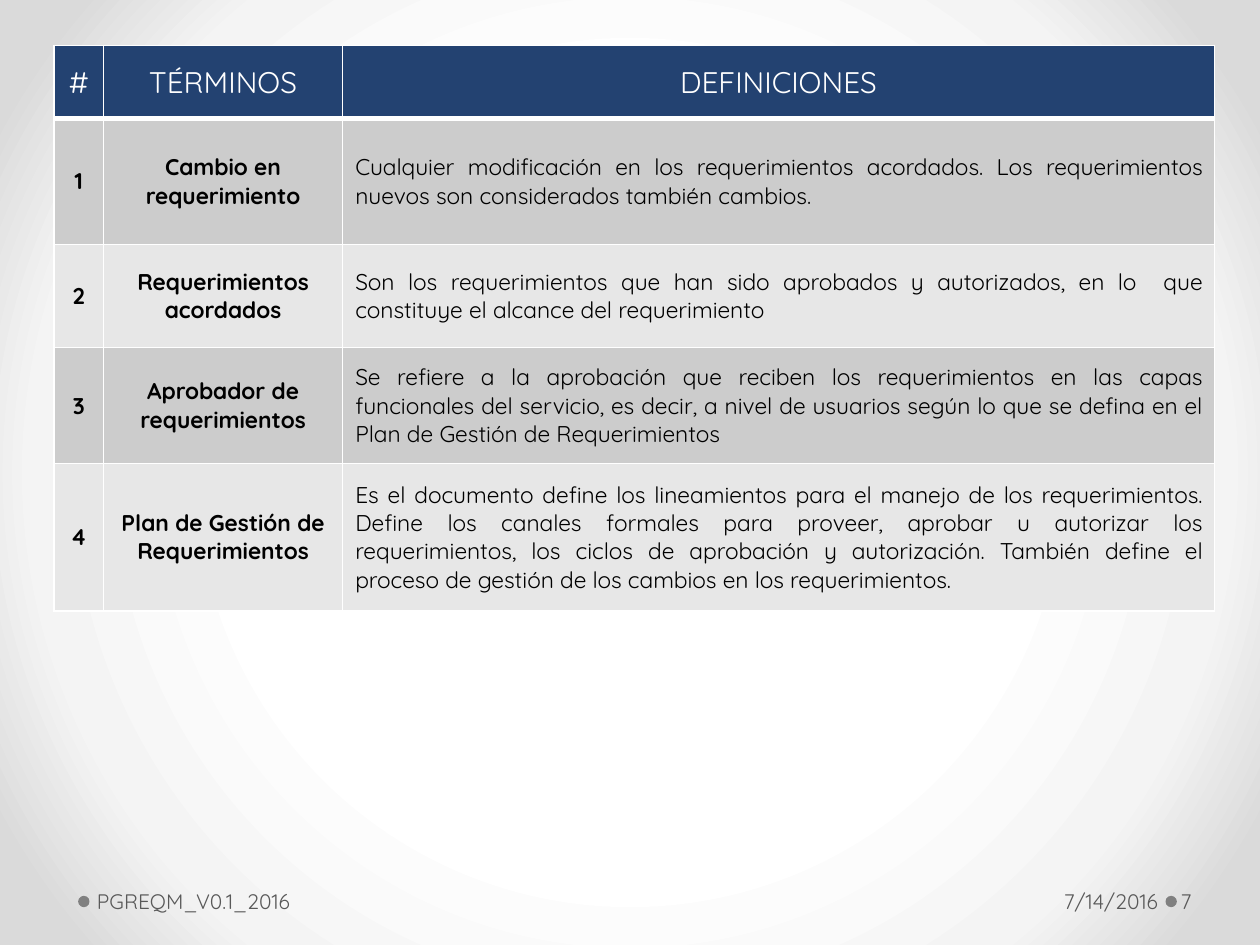
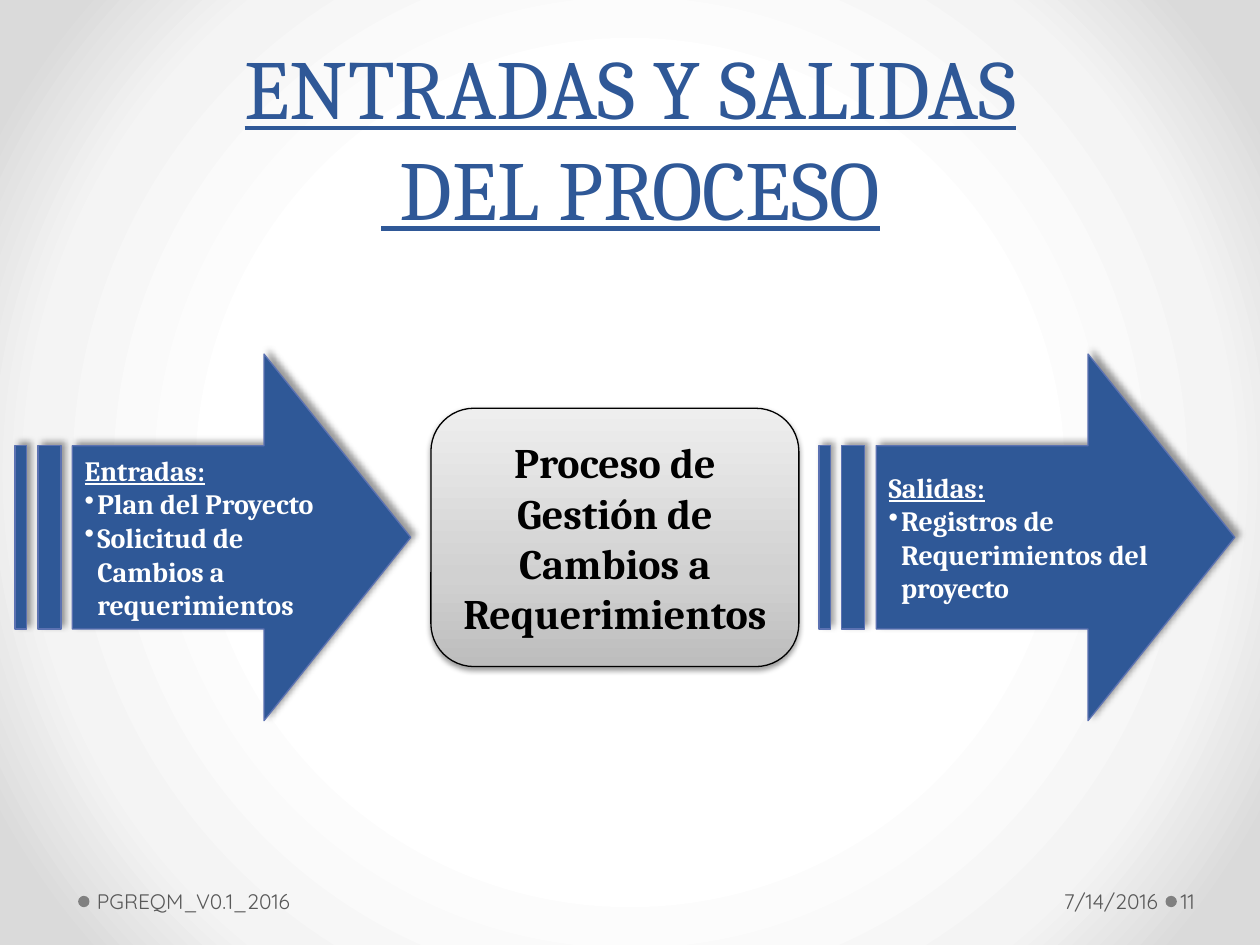
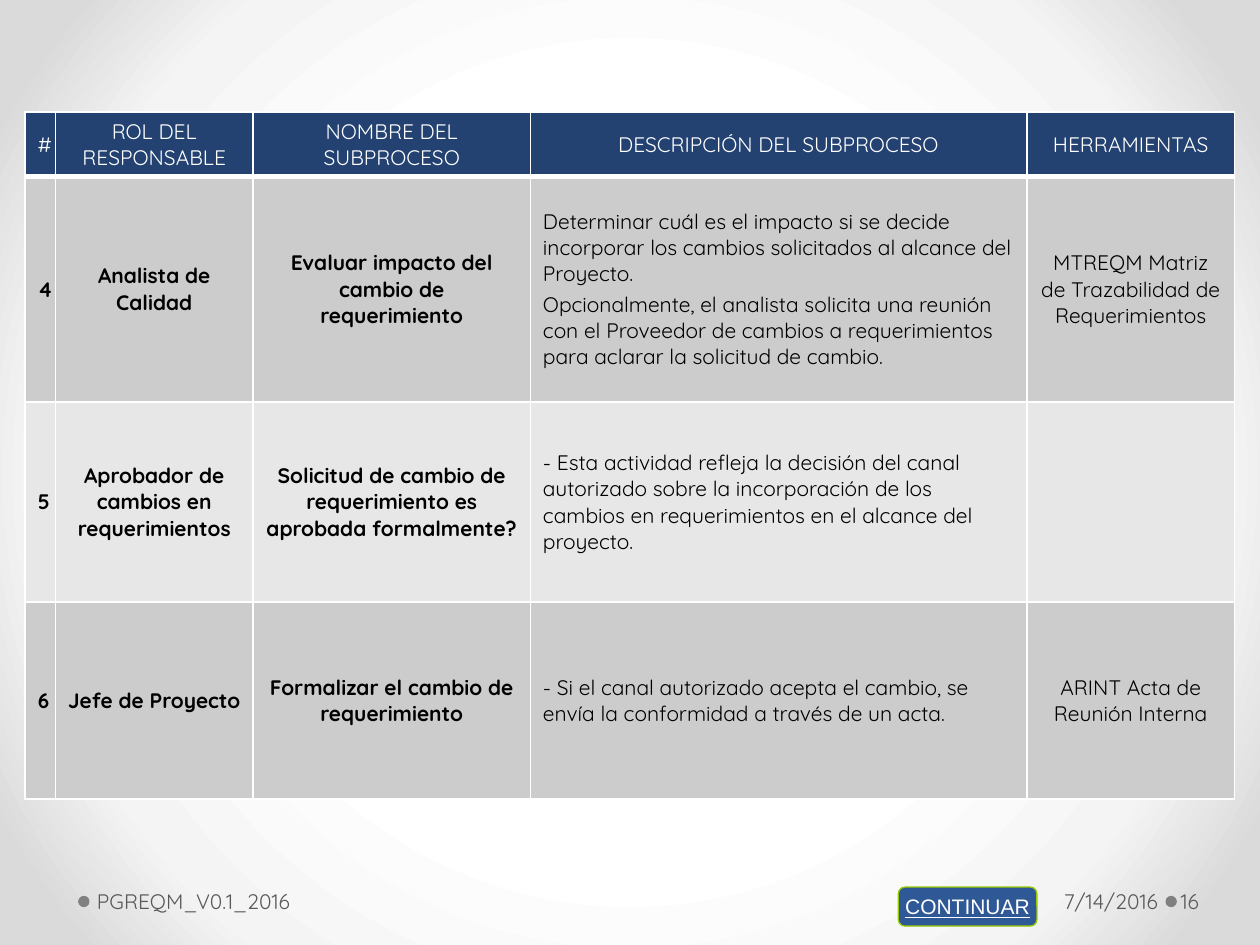
from dataclasses import dataclass

from lxml import etree
from pptx import Presentation
from pptx.dml.color import RGBColor
from pptx.enum.shapes import MSO_SHAPE
from pptx.enum.text import MSO_ANCHOR, MSO_AUTO_SIZE, PP_ALIGN
from pptx.oxml.ns import qn
from pptx.util import Inches, Pt

LEFT, CENTER, RIGHT, JUSTIFY = PP_ALIGN.LEFT, PP_ALIGN.CENTER, PP_ALIGN.RIGHT, PP_ALIGN.JUSTIFY
MIDDLE, BOTTOM = MSO_ANCHOR.MIDDLE, MSO_ANCHOR.BOTTOM
NO_FIT = MSO_AUTO_SIZE.NONE
OVAL, ARROW = MSO_SHAPE.OVAL, MSO_SHAPE.STRIPED_RIGHT_ARROW
ROUNDED, BUTTON = MSO_SHAPE.ROUNDED_RECTANGLE, MSO_SHAPE.FLOWCHART_ALTERNATE_PROCESS
TITLE_ONLY, BLANK = 5, 6


@dataclass(frozen=True)
class Theme:
    body_font: str = "Quicksand"
    heading_font: str = "Cambria"
    button_font: str = "Arial"
    black: str = "000000"
    white: str = "FFFFFF"
    blue: str = "2F5897"
    blue_line: str = "5C72B2"
    navy: str = "234271"
    green: str = "99CC00"
    dot: str = "808080"
    footer: str = "595959"
    bands: tuple = ("CCCCCC", "E7E7E7")
    backdrop: tuple = ((50, "FFFFFF"), (76, "F4F4F4"), (92, "DADADA"))
    steel: tuple = ((0, "BDBDBD"), (35, "D1D1D1"), (100, "EEEEEE"))
    title_size: int = 48
    process_size: int = 24
    arrow_size: int = 16
    small_size: int = 12


THEME = Theme()


def rgb(color):
    return RGBColor.from_string(color)


def child(parent, tag, **attrs):
    return etree.SubElement(parent, qn(tag), {k: str(v) for k, v in attrs.items()})


def set_gradient(grad, stops, angle=None):
    grad.clear()
    stop_list = child(grad, "a:gsLst")
    for position, color in stops:
        stop = child(stop_list, "a:gs", pos=position * 1000)
        child(stop, "a:srgbClr", val=color)
    if angle is None:
        circle = child(grad, "a:path", path="circle")
        child(circle, "a:fillToRect", l=50000, t=50000, r=50000, b=50000)
    else:
        child(grad, "a:lin", ang=angle * 60000, scaled=0)


def write_text(tf, text, font=THEME.body_font, size=THEME.small_size, color=THEME.black,
               bold=False, underline=False, align=LEFT, before=0, bullet=None):
    for line in text.split("\n"):
        p = tf.add_paragraph() if tf.text else tf.paragraphs[0]
        p.text = line
        p.alignment = align
        p.space_before = Pt(before)
        for r in p.runs:
            r.font.name = font
            r.font.size = Pt(size)
            r.font.color.rgb = rgb(color)
            r.font.bold = bold
            r.font.underline = underline
        if bullet:
            pPr = p._p.get_or_add_pPr()
            pPr.set("marL", str(Inches(0.1)))
            pPr.set("indent", str(-Inches(0.1)))
            child(pPr, "a:buChar", char=bullet)


class Deck:
    def __init__(self, theme):
        self.theme = theme
        self.prs = Presentation()
        self.prs.slide_width, self.prs.slide_height = Inches(10), Inches(7.5)
        self.slide = None
        master = self.prs.slide_master
        master.background.fill.gradient()
        set_gradient(master.element.xpath(".//p:bg//a:gradFill")[0], theme.backdrop)

    def new_slide(self, number, title=None):
        layout = self.prs.slide_layouts[TITLE_ONLY if title else BLANK]
        self.slide = self.prs.slides.add_slide(layout)
        if title:
            self.title(title)
        for x in (0.62, 9.25):
            self.shape(OVAL, x, 7.11, 0.09, 0.09, self.theme.dot)
        self.footer_text("PGREQM_V0.1_2016", 0.72, 3.96, 0.05, 0.1)
        self.footer_text("7/14/2016", 6.96, 2.28, 0.1, 0.05, RIGHT)
        self.footer_text(str(number), 9.34, 0.61, 0.03, 0.05)

    def title(self, text):
        sp = self.slide.shapes.title
        sp.left, sp.top, sp.width, sp.height = map(Inches, (0.28, 0.19, 9.45, 1.74))
        tf = sp.text_frame
        tf.auto_size = NO_FIT
        tf.vertical_anchor = BOTTOM
        write_text(tf, text, font=self.theme.heading_font, size=self.theme.title_size,
                   color=self.theme.blue, underline=True, align=CENTER)

    def footer_text(self, text, x, width, left, right, align=LEFT):
        box = self.slide.shapes.add_textbox(Inches(x), Inches(6.95), Inches(width), Inches(0.4))
        tf = box.text_frame
        tf.word_wrap = True
        tf.vertical_anchor = MIDDLE
        tf.margin_left, tf.margin_right = Inches(left), Inches(right)
        write_text(tf, text, color=self.theme.footer, align=align)

    def shape(self, kind, x, y, width, height, fill, line=None, shadow=None):
        sp = self.slide.shapes.add_shape(kind, Inches(x), Inches(y), Inches(width), Inches(height))
        if isinstance(fill, str):
            sp.fill.solid()
            sp.fill.fore_color.rgb = rgb(fill)
        else:
            sp.fill.gradient()
            set_gradient(sp.element.spPr.find(qn("a:gradFill")), fill, 270)
        if line:
            sp.line.color.rgb = rgb(line)
            sp.line.width = Pt(0.75)
        else:
            sp.line.fill.background()
        sp.shadow.inherit = False
        if shadow:
            self.shadow(sp, *shadow)
        sp.text_frame.vertical_anchor = MIDDLE
        return sp

    def shadow(self, sp, opacity, blur, distance, angle):
        effects = sp.element.spPr.find(qn("a:effectLst"))
        outer = child(effects, "a:outerShdw", blurRad=Pt(blur), dist=Pt(distance),
                      dir=angle * 60000, rotWithShape=0)
        color = child(outer, "a:srgbClr", val=self.theme.black)
        child(color, "a:alpha", val=opacity * 1000)

    def arrow(self, x, width, heading, items):
        sp = self.shape(ARROW, x, 2.81, width, 2.91, self.theme.blue, self.theme.blue_line,
                        (40, 4, 3, 315))
        sp.adjustments[0], sp.adjustments[1] = 0.5, 0.4
        style = dict(font=self.theme.heading_font, size=self.theme.arrow_size,
                     color=self.theme.white, bold=True)
        write_text(sp.text_frame, heading, underline=True, **style)
        write_text(sp.text_frame, items, bullet="•", **style)

    def process(self, text):
        sp = self.shape(ROUNDED, 3.42, 3.24, 2.92, 2.05, self.theme.steel, self.theme.black,
                        (38, 3.1, 1.6, 90))
        write_text(sp.text_frame, text, font=self.theme.heading_font,
                   size=self.theme.process_size, bold=True, align=CENTER)

    def button(self, text):
        sp = self.shape(BUTTON, 7.13, 7.04, 1.1, 0.31, self.theme.blue, self.theme.green)
        sp.text_frame.word_wrap = False
        write_text(sp.text_frame, text, font=self.theme.button_font, color=self.theme.white,
                   underline=True, align=CENTER)

    def cell_style(self, cell, fill, bottom=1):
        tcPr = cell._tc.get_or_add_tcPr()
        for side, width in (("L", 1), ("R", 1), ("T", 1), ("B", bottom)):
            ln = child(tcPr, f"a:ln{side}", w=Pt(width))
            child(child(ln, "a:solidFill"), "a:srgbClr", val=self.theme.white)
        cell.fill.solid()
        cell.fill.fore_color.rgb = rgb(fill)
        cell.vertical_anchor = MIDDLE

    def table(self, x, y, widths, heights, rows, aligns, bold_columns, head_size, size):
        frame = self.slide.shapes.add_table(len(rows), len(widths), Inches(x), Inches(y),
                                            Inches(sum(widths)), Inches(sum(heights)))
        table = frame.table
        table.first_row = table.horz_banding = False
        for column, width in zip(table.columns, widths):
            column.width = Inches(width)
        for i, (height, values) in enumerate(zip(heights, rows)):
            table.rows[i].height = Inches(height)
            for j, value in enumerate(values):
                cell = table.cell(i, j)
                if i == 0:
                    self.cell_style(cell, self.theme.navy, bottom=3)
                    write_text(cell.text_frame, value, size=head_size,
                               color=self.theme.white, align=CENTER)
                else:
                    self.cell_style(cell, self.theme.bands[(i - 1) % 2])
                    write_text(cell.text_frame, value, size=size, align=aligns[j],
                               bold=j < bold_columns, before=round(size * 0.2, 1) if j else 0)


TERMS = [
    ("#", "TÉRMINOS", "DEFINICIONES"),
    ("1", "Cambio en requerimiento",
     "Cualquier modificación en los requerimientos acordados. Los requerimientos nuevos son "
     "considerados también cambios. "),
    ("2", "Requerimientos acordados",
     "Son los requerimientos que han sido aprobados y autorizados, en lo  que constituye el "
     "alcance del requerimiento"),
    ("3", "Aprobador de requerimientos",
     "Se refiere a la aprobación que reciben los requerimientos en las capas funcionales del "
     "servicio, es decir, a nivel de usuarios según lo que se defina en el Plan de Gestión de "
     "Requerimientos"),
    ("4", "Plan de Gestión de Requerimientos",
     "Es el documento define los lineamientos para el manejo de los requerimientos. Define los "
     "canales formales para proveer, aprobar u autorizar los requerimientos, los ciclos de "
     "aprobación y autorización. También define el proceso de gestión de los cambios en los "
     "requerimientos."),
]

SUBPROCESSES = [
    ("#", "ROL DEL RESPONSABLE", "NOMBRE DEL SUBPROCESO", "DESCRIPCIÓN DEL SUBPROCESO",
     "HERRAMIENTAS"),
    ("4", "Analista de Calidad", "Evaluar impacto del cambio de requerimiento",
     "Determinar cuál es el impacto si se decide incorporar los cambios solicitados al alcance "
     "del Proyecto.\nOpcionalmente, el analista solicita una reunión con el Proveedor de cambios "
     "a requerimientos para aclarar la solicitud de cambio.",
     "MTREQM Matriz de Trazabilidad de Requerimientos"),
    ("5", "Aprobador de cambios en requerimientos",
     "Solicitud de cambio de requerimiento es aprobada formalmente?",
     "- Esta actividad refleja la decisión del canal autorizado sobre la incorporación de los "
     "cambios en requerimientos en el alcance del proyecto.", ""),
    ("6", "Jefe de Proyecto", "Formalizar el cambio de requerimiento",
     "- Si el canal autorizado acepta el cambio, se envía la conformidad a través de un acta.",
     "ARINT Acta de Reunión Interna"),
]


def main():
    deck = Deck(THEME)

    deck.new_slide(7)
    deck.table(0.43, 0.36, (0.39, 1.9, 6.92), (0.58, 1, 0.82, 0.92, 1.17), TERMS,
               (CENTER, CENTER, JUSTIFY), bold_columns=2, head_size=17, size=13)

    deck.new_slide(11, "ENTRADAS Y SALIDAS\v DEL PROCESO")
    deck.arrow(0.12, 3.14, "Entradas:",
               "Plan del Proyecto\nSolicitud de Cambios a requerimientos")
    deck.arrow(6.5, 3.3, "Salidas:", "Registros de Requerimientos del proyecto")
    deck.process("Proceso de Gestión de Cambios a Requerimientos")

    deck.new_slide(16)
    deck.table(0.2, 0.89, (0.24, 1.57, 2.2, 3.94, 1.65), (0.51, 1.79, 1.59, 1.56), SUBPROCESSES,
               (CENTER, CENTER, CENTER, LEFT, CENTER), bold_columns=3, head_size=12, size=12)
    deck.button("CONTINUAR")

    deck.prs.save("out.pptx")


main()
